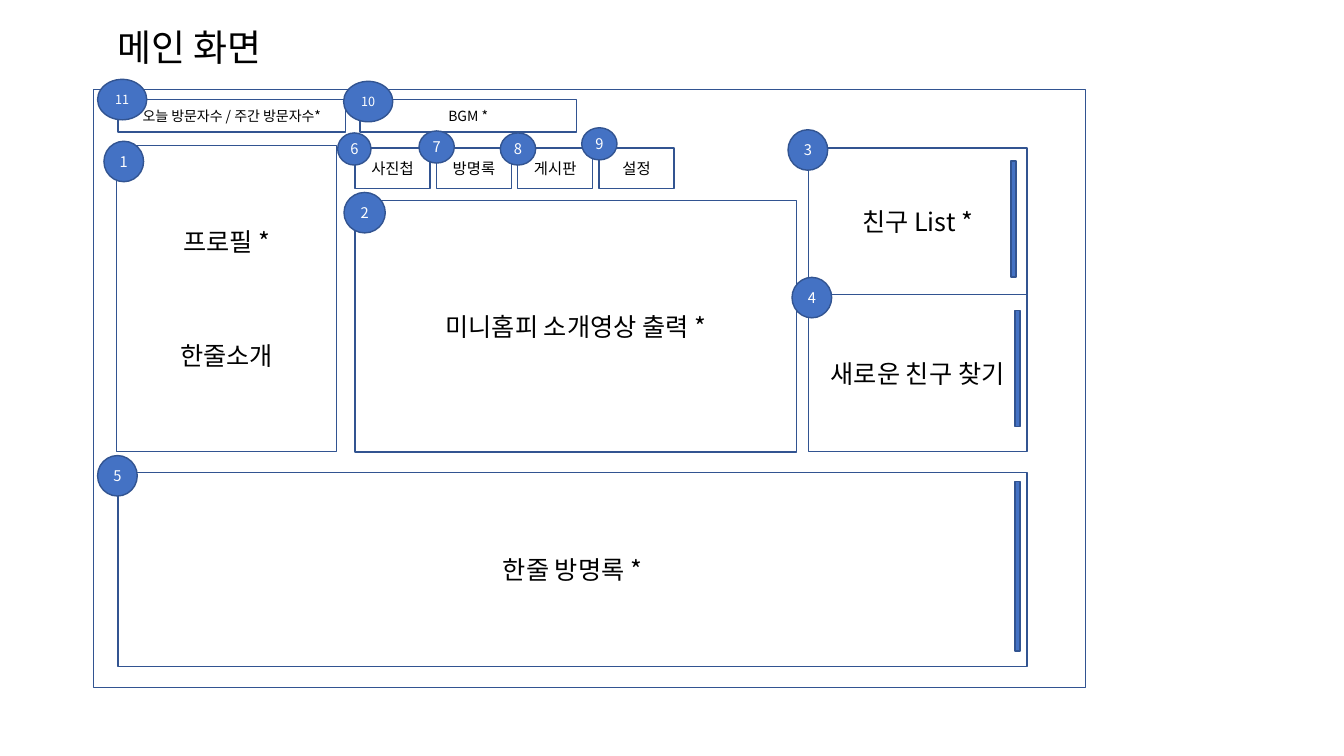
from dataclasses import dataclass
from typing import NamedTuple

from lxml import etree
from pptx import Presentation
from pptx import util as u
from pptx.dml.color import RGBColor
from pptx.enum import shapes, text
from pptx.oxml import ns


@dataclass(frozen=True)
class Theme:
    font: str = "Noto Sans CJK KR"
    accent: str = "4472C4"
    outline: str = "325491"
    ink: str = "000000"
    paper: str = "FFFFFF"
    title: float = 26.4
    panel: float = 18
    menu: float = 11
    status: float = 10
    badge: float = 10.5
    small_badge: float = 9
    line: float = 1


class Box(NamedTuple):
    left: float
    top: float
    width: float
    height: float

    def inside(self, left, top, width, height):
        return Box(self.left + left, self.top + top, width, height)

    def lengths(self):
        return [u.Cm(value) for value in self]


THEME = Theme()
RECT = shapes.MSO_SHAPE.RECTANGLE
OVAL = shapes.MSO_SHAPE.OVAL


def write(shape, words, size, color=THEME.ink, anchor=text.MSO_ANCHOR.MIDDLE,
          bottom=0, line_spacing=None, gap=0):
    frame = shape.text_frame
    frame.word_wrap = True
    frame.vertical_anchor = anchor
    frame.margin_left = frame.margin_right = frame.margin_top = 0
    frame.margin_bottom = u.Cm(bottom)
    for index, line in enumerate(words.split("\n")):
        para = frame.add_paragraph() if index else frame.paragraphs[0]
        para.alignment = text.PP_ALIGN.CENTER
        para.line_spacing = line_spacing
        if index:
            para.space_before = u.Pt(gap)
        span = para.add_run()
        span.text = line
        span.font.size = u.Pt(size)
        span.font.name = THEME.font
        span.font.color.rgb = RGBColor.from_string(color)
        east_asian = etree.SubElement(span.font._element, ns.qn("a:ea"))
        east_asian.set("typeface", THEME.font)


def draw(page, box, kind=RECT, fill=None):
    shape = page.shapes.add_shape(kind, *box.lengths())
    shape.shadow.inherit = False
    if fill:
        shape.fill.solid()
        shape.fill.fore_color.rgb = RGBColor.from_string(fill)
    else:
        shape.fill.background()
    shape.line.color.rgb = RGBColor.from_string(THEME.outline)
    shape.line.width = u.Pt(THEME.line)
    return shape


def add_badge(page, box, number, left, top, width=1, height=1.02, size=THEME.badge):
    badge = draw(page, box.inside(left, top, width, height), OVAL, THEME.accent)
    write(badge, str(number), size, color=THEME.paper)


def add_panel(page, box, words, number, badge_at, fill=None, scrollbar=None, gap=0):
    write(draw(page, box, fill=fill), words, THEME.panel, gap=gap)
    add_badge(page, box, number, *badge_at)
    if scrollbar:
        left, top, height = scrollbar
        draw(page, box.inside(left, top, 0.13, height), fill=THEME.accent)


def add_title(page, box):
    title = page.shapes.add_textbox(*box.lengths())
    write(title, "메인 화면", THEME.title, anchor=text.MSO_ANCHOR.BOTTOM,
          bottom=0.13, line_spacing=0.8)


def add_status_bar(page, box):
    for words, left, width, number, badge_at in (
        ("오늘 방문자수 / 주간 방문자수*", 0, 5.74, 11, (-0.51, -0.51)),
        ("BGM *", 6.1, 5.46, 10, (-0.41, -0.46)),
    ):
        field = box.inside(left, 0, width, box.height)
        write(draw(page, field), words, THEME.status)
        add_badge(page, field, number, *badge_at, width=1.24, size=THEME.small_badge)


def add_menu(page, box):
    items = (
        ("사진첩", -0.38, 0.84),
        ("방명록", -0.43, 0.89),
        ("게시판", -0.38, 0.89),
        ("설정", -0.51, 0.89),
    )
    gap = 0.16
    width = (box.width - gap * (len(items) - 1)) / len(items)
    for index, (words, badge_top, badge_width) in enumerate(items):
        button = box.inside(index * (width + gap), 0, width, box.height)
        write(draw(page, button), words, THEME.menu)
        add_badge(page, button, index + 6, -0.44, badge_top, badge_width, 0.81)


def add_friends(page, box):
    list_height = 3.69
    add_panel(page, box.inside(0, 0, box.width, list_height), "친구 List *", 3,
              (-0.51, -0.46), THEME.paper, (5.11, 0.33, 2.92))
    add_panel(page, box.inside(0, list_height, box.width, box.height - list_height),
              "새로운 친구 찾기", 4, (-0.41, -0.43), THEME.paper, (5.21, 0.41, 2.92))


def add_main_screen(page, box):
    draw(page, box)
    add_status_bar(page, box.inside(0.61, 0.25, 11.56, 0.82))
    add_panel(page, box.inside(0.58, 1.4, 5.54, 7.72), "프로필 *\n한줄소개", 1,
              (-0.32, -0.1), THEME.paper, gap=60)
    add_menu(page, box.inside(6.59, 1.47, 8.04, 1.02))
    add_panel(page, box.inside(6.59, 2.79, 11.12, 6.34), "미니홈피 소개영상 출력 *", 2,
              (-0.28, -0.2, 1.04))
    add_friends(page, box.inside(18.01, 1.47, 5.51, 7.65))
    add_panel(page, box.inside(0.61, 9.65, 22.91, 4.88), "한줄 방명록 *", 5,
              (-0.51, -0.43), scrollbar=(22.61, 0.23, 4.27))


def main():
    deck = Presentation()
    deck.slide_width, deck.slide_height = u.Cm(33.87), u.Cm(19.05)
    page = deck.slides.add_slide(deck.slide_layouts[6])
    add_title(page, Box(2.36, 0.58, 4.85, 1.27))
    add_main_screen(page, Box(2.36, 2.26, 25, 15.06))
    deck.save("out.pptx")


if __name__ == "__main__":
    main()
